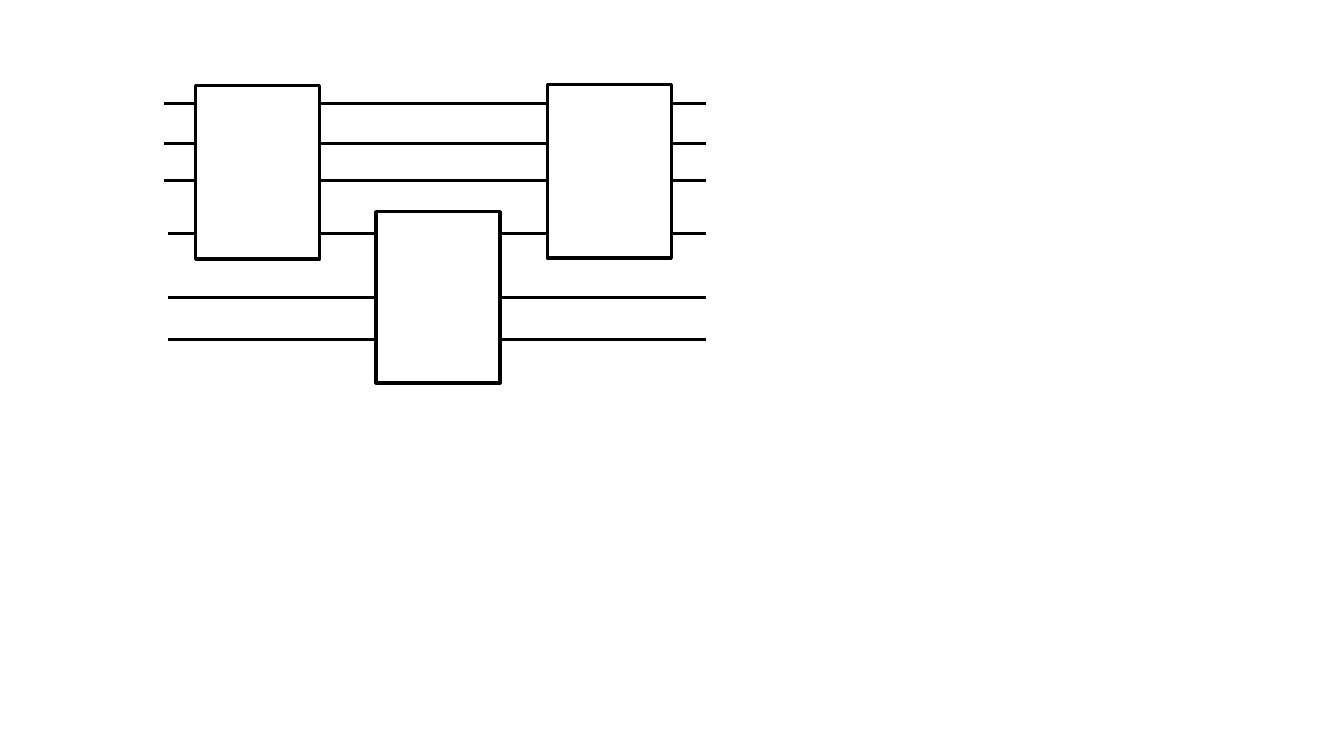
from lxml import etree
from pptx import Presentation
from pptx.dml.color import RGBColor
from pptx.enum.dml import MSO_LINE
from pptx.enum.shapes import MSO_CONNECTOR, MSO_SHAPE
from pptx.oxml.ns import qn
from pptx.util import Pt

STRAIGHT = MSO_CONNECTOR.STRAIGHT
RECT = MSO_SHAPE.RECTANGLE
SOLID = MSO_LINE.SOLID
SCALE = 9144
COLORS = {"ink": "000000", "paper": "FFFFFF"}
STROKE = {"width": Pt(2.25), "dash_style": SOLID}


def px(*sizes):
    return [size * SCALE for size in sizes]


class Circuit:
    def __init__(self, deck):
        self.slide = deck.slides.add_slide(deck.slide_layouts[6])
        self.colors = {name: RGBColor.from_string(code) for name, code in COLORS.items()}

    def stroke(self, line):
        line.color.rgb = self.colors["ink"]
        for name, value in STROKE.items():
            setattr(line, name, value)

    def wire(self, left, right, y):
        wire = self.slide.shapes.add_connector(STRAIGHT, *px(left, y, right, y))
        self.stroke(wire.line)
        etree.SubElement(wire._element.spPr, qn("a:effectLst"))

    def gate(self, left, top, width, height):
        gate = self.slide.shapes.add_shape(RECT, *px(left, top, width, height))
        gate.shadow.inherit = False
        gate.fill.solid()
        gate.fill.fore_color.rgb = self.colors["paper"]
        self.stroke(gate.line)


def main():
    deck = Presentation()
    deck.slide_width, deck.slide_height = px(1333, 750)
    circuit = Circuit(deck)
    for left, rows in ((163, (103, 142, 179)), (167, (232, 295, 337))):
        for y in rows:
            circuit.wire(left, 700, y)
    for left, top, height in ((194, 85, 172), (373, 210, 170), (543, 84, 172)):
        circuit.gate(left, top, 123, height)
    deck.save("out.pptx")


if __name__ == "__main__":
    main()
